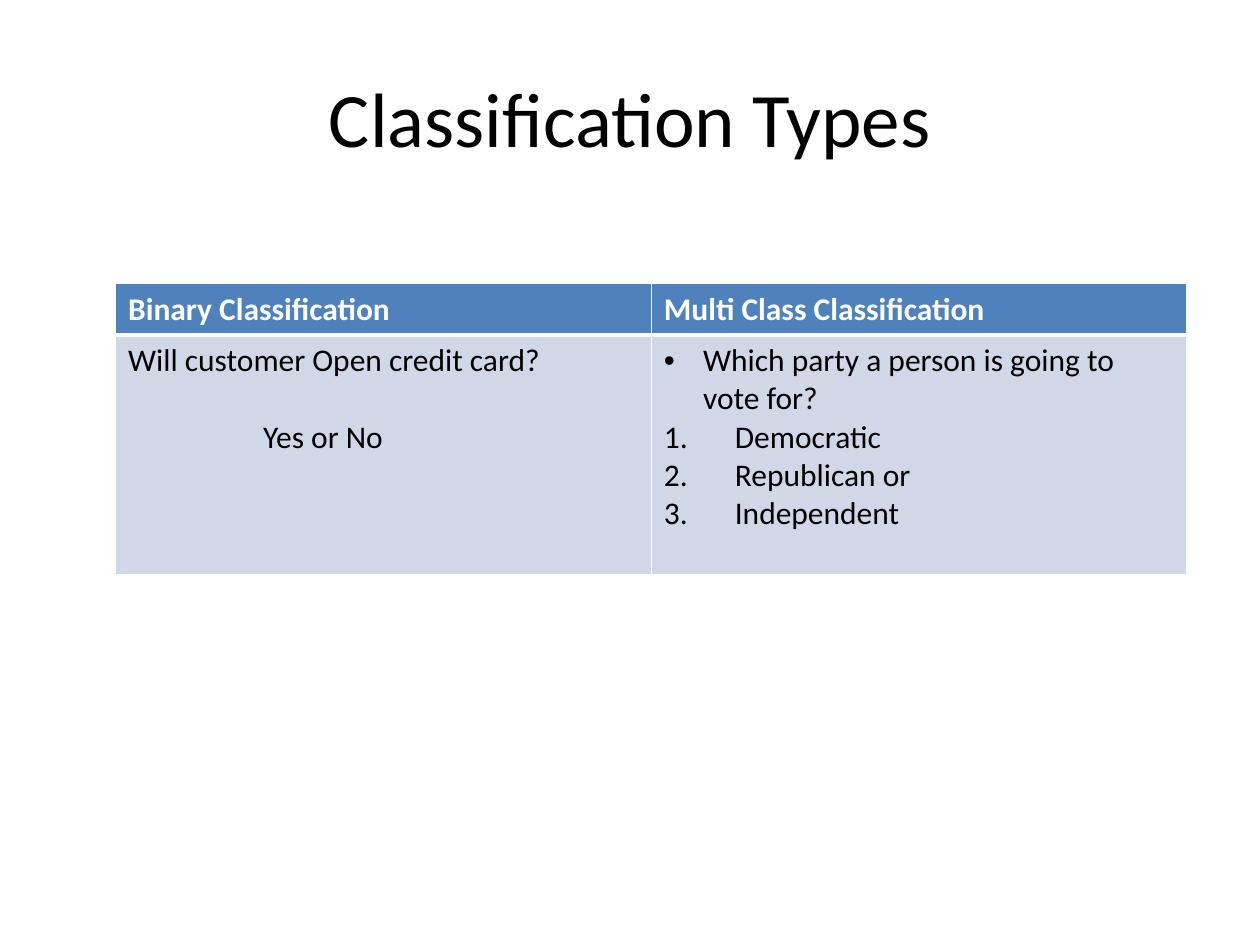
from dataclasses import dataclass
from typing import Optional

from lxml.etree import SubElement
from pptx import Presentation
from pptx.dml.color import RGBColor as RGB
from pptx.enum.text import MSO_ANCHOR as ANCHOR, PP_ALIGN as ALIGN
from pptx.oxml import parse_xml
from pptx.oxml.ns import nsdecls, qn
from pptx.util import Cm, Pt

COLORS = {"header": "4F81BD", "body": "D0D8E8", "white": "FFFFFF", "black": "000000"}
FONT = "Calibri"


@dataclass
class Para:
    text: str
    margin: float = 0
    hanging: bool = False
    before: float = 0
    bullet: Optional[str] = None


@dataclass
class Column:
    header: str
    body: list[Para]


COLUMNS = [
    Column("Binary Classification", [
        Para("Will customer Open credit card?"),
        Para("Yes or No", margin=2.72, before=22),
    ]),
    Column("Multi Class Classification", [
        Para("Which party a person is going to vote for?", 0.79, True, bullet="•"),
        *(Para(name, 1.43, True, bullet="1.")
          for name in ("Democratic", "Republican or", "Independent")),
    ]),
]


def style_runs(p, size: float, color: str, bold: bool = False) -> None:
    for r in p.runs:
        r.font.name = FONT
        r.font.size = Pt(size)
        r.font.bold = bold
        r.font.color.rgb = RGB.from_string(COLORS[color])


def indent(p, para: Para) -> None:
    pPr = p._p.get_or_add_pPr()
    pPr.set("marL", str(Cm(para.margin)))
    pPr.set("indent", str(-Cm(para.margin) if para.hanging else 0))
    if para.bullet == "1.":
        SubElement(pPr, qn("a:buFont"), typeface="+mj-lt")
        SubElement(pPr, qn("a:buAutoNum"), type="arabicPeriod")
    elif para.bullet:
        SubElement(pPr, qn("a:buFont"), typeface="Arial")
        SubElement(pPr, qn("a:buChar"), char=para.bullet)


def set_borders(cell, top: float, bottom: float) -> None:
    tcPr = cell._tc.get_or_add_tcPr()
    widths = {"lnL": 1, "lnR": 1, "lnT": top, "lnB": bottom}
    for i, (side, width) in enumerate(widths.items()):
        tcPr.insert(i, parse_xml(
            f'<a:{side} {nsdecls("a")} w="{Pt(width)}"><a:solidFill>'
            f'<a:srgbClr val="{COLORS["white"]}"/></a:solidFill></a:{side}>'))


def fill_cell(cell, paras: list[Para], fill: str, color: str, bold: bool,
              top: float, bottom: float) -> None:
    cell.fill.solid()
    cell.fill.fore_color.rgb = RGB.from_string(COLORS[fill])
    set_borders(cell, top, bottom)
    tf = cell.text_frame
    for i, para in enumerate(paras):
        p = tf.add_paragraph() if i else tf.paragraphs[0]
        p.text = para.text
        if para.before:
            p.space_before = Pt(para.before)
        indent(p, para)
        style_runs(p, 18, color, bold)


def add_title(s, text: str) -> None:
    sp = s.shapes.title
    sp.left, sp.top, sp.width, sp.height = Cm(1.27), Cm(0.76), Cm(22.86), Cm(3.18)
    tf = sp.text_frame
    tf.text = text
    tf.vertical_anchor = ANCHOR.MIDDLE
    p = tf.paragraphs[0]
    p.alignment = ALIGN.CENTER
    style_runs(p, 44, "black")


def add_comparison(s, columns: list[Column]) -> None:
    table = s.shapes.add_table(2, len(columns), Cm(2.33), Cm(5.72),
                               Cm(21.6), Cm(5.87)).table
    table.rows[0].height, table.rows[1].height = Cm(1.03), Cm(4.84)
    for i, column in enumerate(columns):
        fill_cell(table.cell(0, i), [Para(column.header)], "header", "white", True, 1, 3)
        fill_cell(table.cell(1, i), column.body, "body", "black", False, 3, 1)


def main() -> None:
    """Build the classification types slide."""
    prs = Presentation()
    prs.slide_width, prs.slide_height = Cm(25.4), Cm(19.05)
    s = prs.slides.add_slide(prs.slide_layouts[5])
    add_title(s, "Classification Types")
    add_comparison(s, COLUMNS)
    prs.save("out.pptx")


if __name__ == "__main__":
    main()
